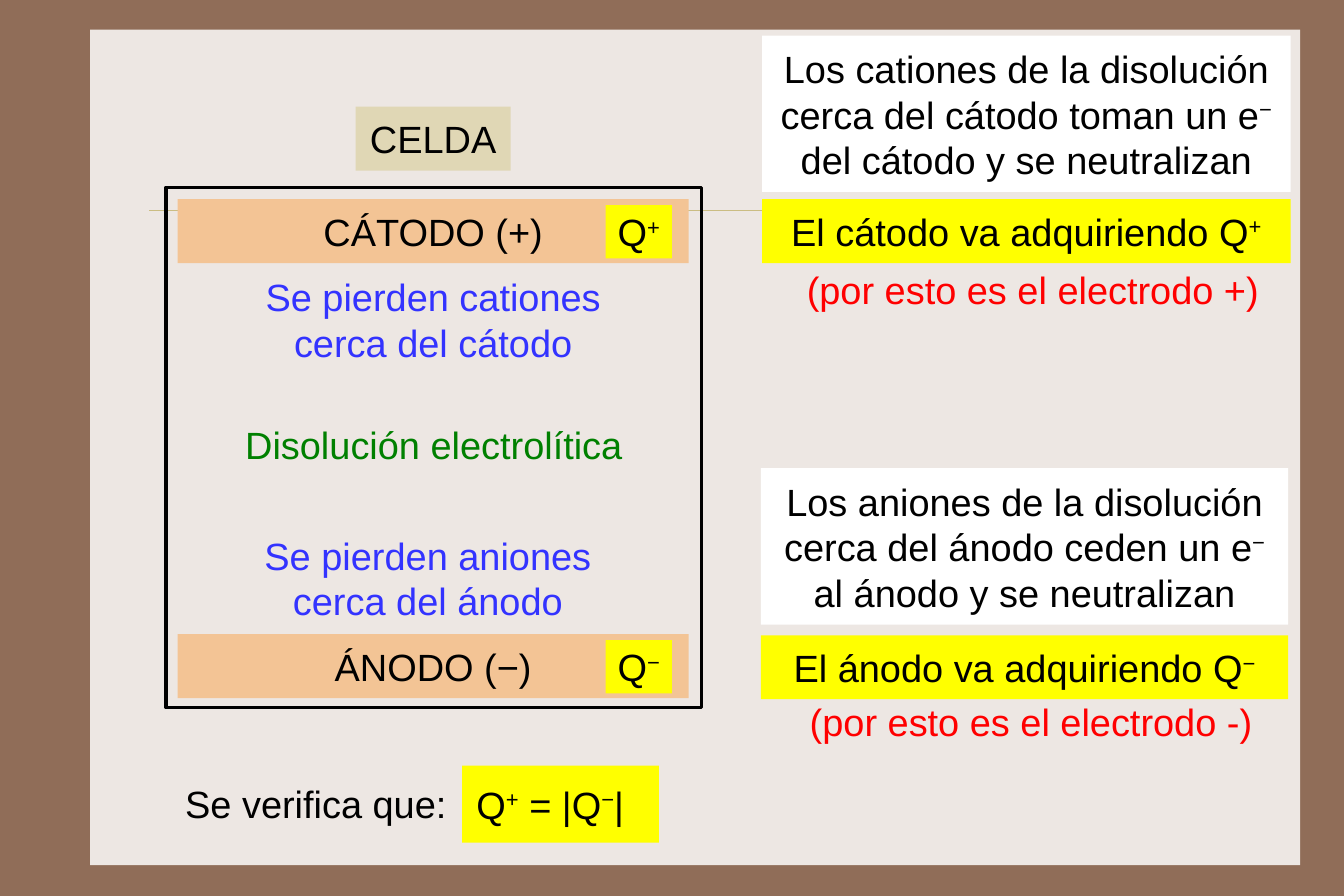
from lxml import etree
from pptx import Presentation
from pptx.dml.color import RGBColor
from pptx.enum.shapes import MSO_CONNECTOR, MSO_SHAPE
from pptx.enum.text import MSO_ANCHOR, PP_ALIGN
from pptx.oxml.ns import qn
from pptx.util import Pt

PX = 9525
RECT = MSO_SHAPE.RECTANGLE
LINE = MSO_CONNECTOR.STRAIGHT
MIDDLE = MSO_ANCHOR.MIDDLE
LEFT, CENTER = PP_ALIGN.LEFT, PP_ALIGN.CENTER
BLACK, WHITE, YELLOW = "000000", "FFFFFF", "FFFF00"
RED, BLUE, GREEN = "FF0000", "3333FF", "008000"
BROWN, CREAM, SAND = "906D58", "EDE7E3", "CBBD83"
PEACH, KHAKI = "F3C495", "E0D7B5"


def color(code):
    """Turn a hex string into a colour."""
    return RGBColor.from_string(code)


def px(*sizes):
    """Turn px lengths into EMU."""
    return [size * PX for size in sizes]


def panel(slide, box, fill=None, line=None):
    """Draw a rectangle with an optional fill and outline."""
    shape = slide.shapes.add_shape(RECT, *px(*box))
    shape.shadow.inherit = False
    if fill:
        shape.fill.solid()
        shape.fill.fore_color.rgb = color(fill)
    else:
        shape.fill.background()
    if line:
        shape.line.color.rgb = color(line)
        shape.line.width = Pt(2)
    else:
        shape.line.fill.background()
    return shape


def write(slide, box, text, ink=BLACK, fill=None, pad=12, align=CENTER):
    """Write text in a box; parts between ^ marks are raised."""
    if fill:
        shape = panel(slide, box, fill)
    else:
        shape = slide.shapes.add_textbox(*px(*box))
    frame = shape.text_frame
    frame.word_wrap = True
    frame.vertical_anchor = MIDDLE
    frame.margin_left = frame.margin_right = pad * PX
    frame.margin_top = frame.margin_bottom = 8 * PX
    rows = text.split("\n")
    frame.text = "\n" * (len(rows) - 1)
    for para, row in zip(frame.paragraphs, rows):
        para.alignment = align
        for order, part in enumerate(row.split("^")):
            if not part:
                continue
            run = para.add_run()
            run.text = part
            run.font.size = Pt(24)
            run.font.name = "Arial"
            run.font.color.rgb = color(ink)
            if order % 2:
                run.font._element.set("baseline", "30000")


def base(slide):
    """Draw the backdrop, the page and its thin rule."""
    slide.background.fill.solid()
    slide.background.fill.fore_color.rgb = color(BROWN)
    panel(slide, (76, 25, 1021, 705), CREAM)
    rule = slide.shapes.add_connector(LINE, *px(126, 177, 1077, 177))
    rule.line.color.rgb = color(SAND)
    rule.line.width = Pt(0.25)
    etree.SubElement(rule._element.spPr, qn("a:effectLst"))


def plate(slide, x, y, name, charge):
    """Draw one electrode with its charge tag."""
    write(slide, (x, y, 431, 54), name, fill=PEACH)
    write(slide, (x + 361, y + 5, 56, 45), charge, fill=YELLOW, pad=0)


def cell(slide, x, y, w, h):
    """Draw the cell: title, frame, electrodes and solution."""
    write(slide, (x + 160, y - 68, 131, 54), "CELDA", fill=KHAKI, pad=0)
    plate(slide, x + 10, y + 10, "CÁTODO (+)", "Q^+^")
    plate(slide, x + 10, y + h - 62, "ÁNODO (−)", "Q^−^")
    write(slide, (x + 69, y + 65, 313, 93),
          "Se pierden cationes cerca del cátodo", BLUE)
    write(slide, (x + 50, y + 190, 352, 54), "Disolución electrolítica", GREEN)
    write(slide, (x + 59, y + 283, 324, 93),
          "Se pierden aniones cerca del ánodo", BLUE)
    panel(slide, (x, y, w, h), line=BLACK)


def notes(slide, x, y, w, gap, cause, gain, reason):
    """Stack the cause, the charge gained and the reason."""
    write(slide, (x, y, w, 132), cause, fill=WHITE)
    write(slide, (x, y + 132 + gap, w, 54), gain, fill=YELLOW)
    write(slide, (x + 16, y + 187, w - 21, 54), reason, RED)


def check(slide, x, y):
    """Write the closing equality."""
    write(slide, (x, y + 5, 281, 54), "Se verifica que:")
    write(slide, (x + 264, y, 166, 65), "Q^+^ = |Q^−^|", fill=YELLOW, align=LEFT)


def main():
    """Build and save the slide."""
    deck = Presentation()
    deck.slide_width, deck.slide_height = px(1134, 756)
    slide = deck.slides.add_slide(deck.slide_layouts[6])
    base(slide)
    cell(slide, 140, 158, 452, 439)
    notes(slide, 643, 30, 446, 6,
          "Los cationes de la disolución cerca del cátodo toman un e^−^ "
          "del cátodo y se neutralizan",
          "El cátodo va adquiriendo Q^+^", "(por esto es el electrodo +)")
    notes(slide, 642, 395, 445, 9,
          "Los aniones de la disolución cerca del ánodo ceden un e^−^\n"
          "al ánodo y se neutralizan",
          "El ánodo va adquiriendo Q^−^", "(por esto es el electrodo -)")
    check(slide, 126, 646)
    deck.save("out.pptx")


if __name__ == "__main__":
    main()
